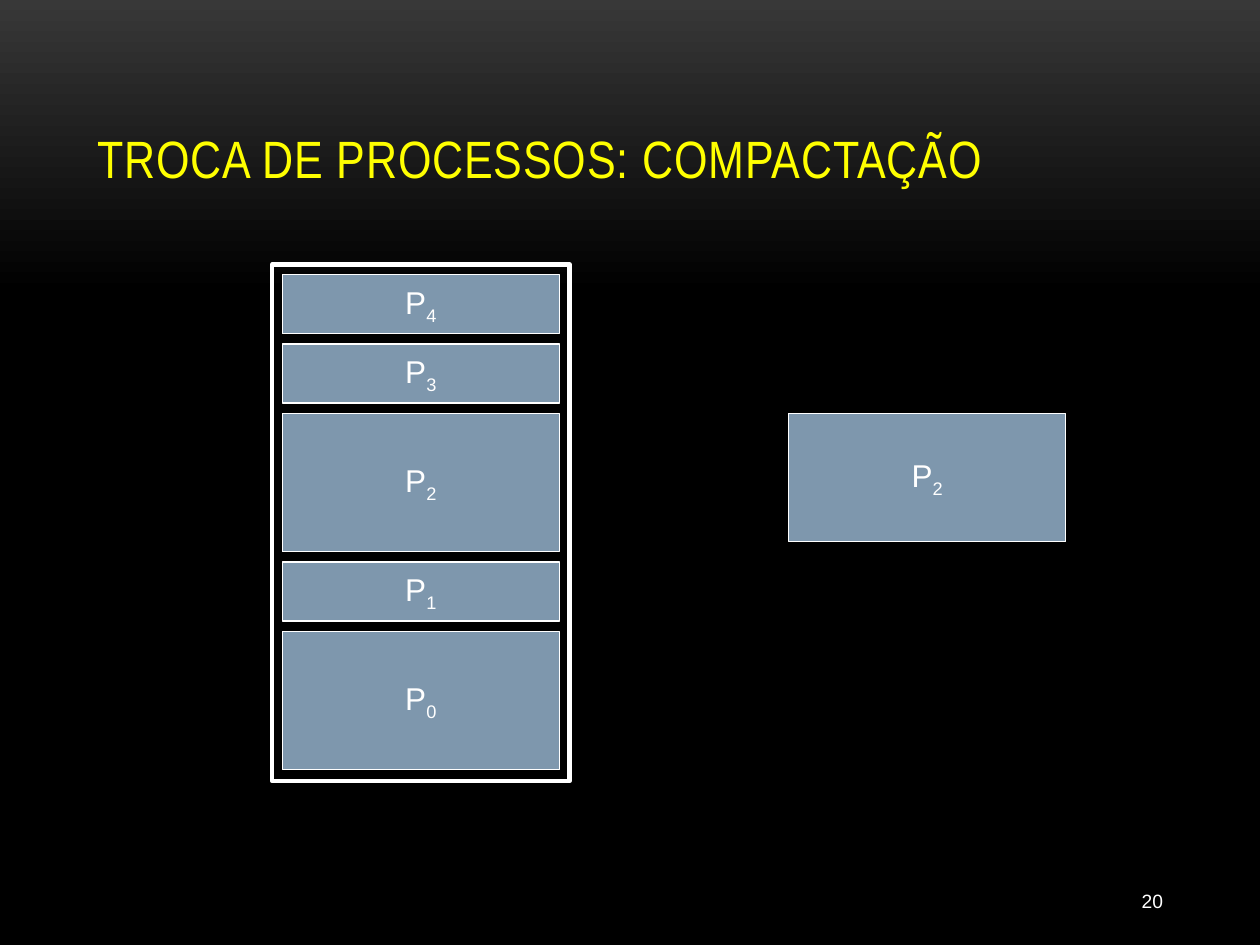
from copy import deepcopy

from pptx import Presentation
from pptx.dml.color import RGBColor
from pptx.enum.shapes import MSO_SHAPE as Shape
from pptx.enum.text import MSO_ANCHOR as Anchor, PP_ALIGN as Align
from pptx.oxml.ns import qn
from pptx.util import Pt

COLORS = {"top": "383838", "black": "000000", "title": "FFFF00",
          "block": "7E97AD", "white": "FFFFFF"}


def write(shape, text, subscript="", size=18, font="Arial", color="white",
          align=Align.CENTER, anchor=Anchor.MIDDLE, wrap=False, spacing=0):
    frame = shape.text_frame
    frame.word_wrap = wrap
    frame.vertical_anchor = anchor
    paragraph = frame.paragraphs[0]
    paragraph.alignment = align
    for part, baseline in ((text, 0), (subscript, -25000)):
        if not part:
            continue
        run = paragraph.add_run()
        run.text = part
        run.font.size = Pt(size)
        run.font.name = font
        run.font.color.rgb = RGBColor.from_string(COLORS[color])
        properties = run.font._element
        if baseline:
            properties.set("baseline", str(baseline))
        if spacing:
            properties.set("spc", str(spacing))


def add_box(left, top, width, height, line_width, fill=None):
    box = slide.shapes.add_shape(Shape.RECTANGLE, Pt(left), Pt(top), Pt(width), Pt(height))
    box.shadow.inherit = False
    if fill:
        box.fill.solid()
        box.fill.fore_color.rgb = RGBColor.from_string(COLORS[fill])
    else:
        box.fill.background()
    box.line.color.rgb = RGBColor.from_string(COLORS["white"])
    box.line.width = Pt(line_width)
    return box


deck = Presentation()
deck.slide_width, deck.slide_height = Pt(720), Pt(540)
slide = deck.slides.add_slide(deck.slide_layouts[5])

# Background: dark grey fading to black
backdrop = slide.background.fill
backdrop.gradient()
backdrop.gradient_angle = 270
last_stop = list(slide.element.iter(qn("a:gs")))[-1]
last_stop.addnext(deepcopy(last_stop))
fade = ((0, "top"), (0.31, "black"), (1, "black"))
for stop, (position, color) in zip(backdrop.gradient_stops, fade):
    stop.position = position
    stop.color.rgb = RGBColor.from_string(COLORS[color])

# Title
title = slide.shapes.title
title.left, title.top, title.width, title.height = Pt(48.24), Pt(21.6), Pt(624.24), Pt(90)
write(title, "TROCA DE PROCESSOS: COMPACTAÇÃO", size=30, font="Arial Narrow",
      color="title", align=Align.LEFT, anchor=Anchor.BOTTOM, wrap=True, spacing=50)

# Memory with its processes, stacked upwards from P0
add_box(155.5, 151.2, 170, 295.2, 2.5)
SMALL, LARGE, GAP, BLOCK_WIDTH = 33.84, 79.2, 5.76, 158.4
bottom = 439.92
for number, height in enumerate((LARGE, SMALL, LARGE, SMALL, SMALL)):
    process = add_box(161.28, bottom - height, BLOCK_WIDTH, height, 0.75, "block")
    write(process, "P", subscript=str(number))
    bottom -= height + GAP

# Process swapped out of memory
swapped = add_box(450.72, 236.16, BLOCK_WIDTH, 73.44, 0.75, "block")
write(swapped, "P", subscript="2")

# Slide number
page_number = slide.shapes.add_textbox(Pt(594), Pt(500.4), Pt(77.76), Pt(28.8))
write(page_number, "20", size=11, align=Align.RIGHT, wrap=True)

deck.save("out.pptx")
